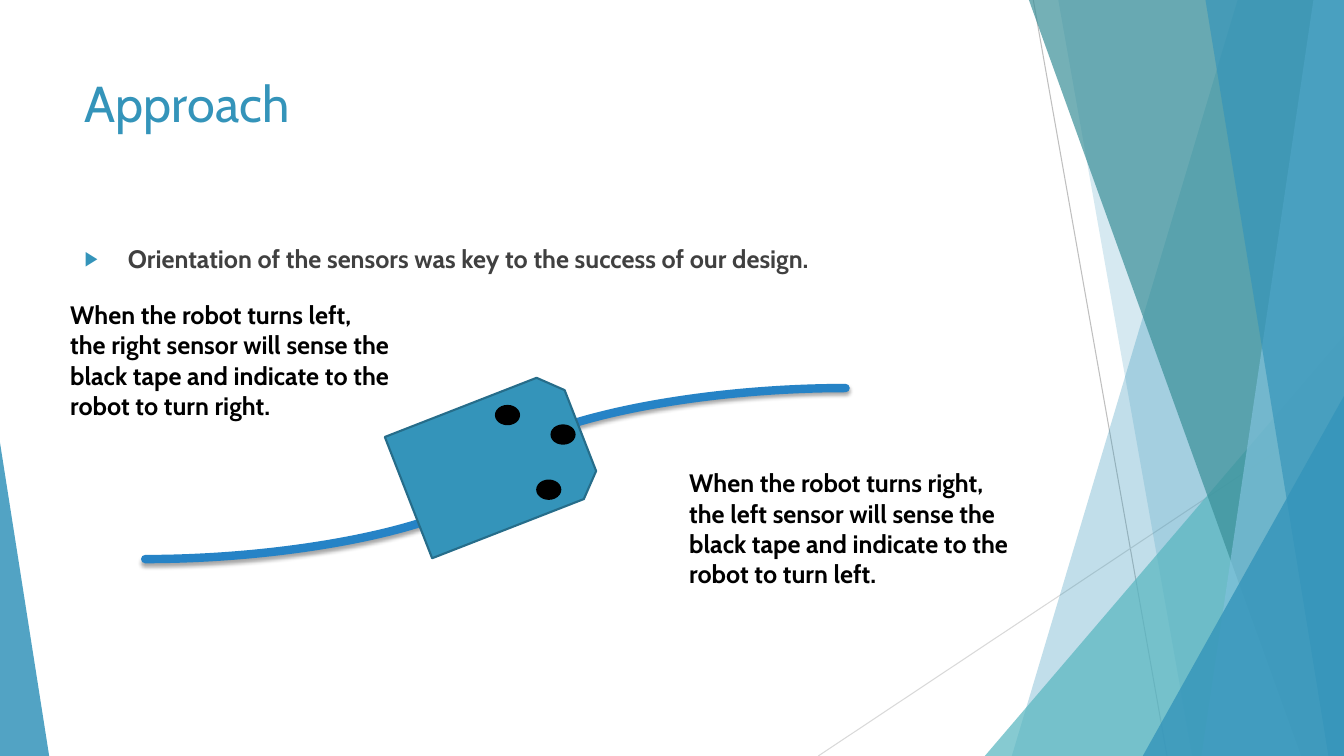
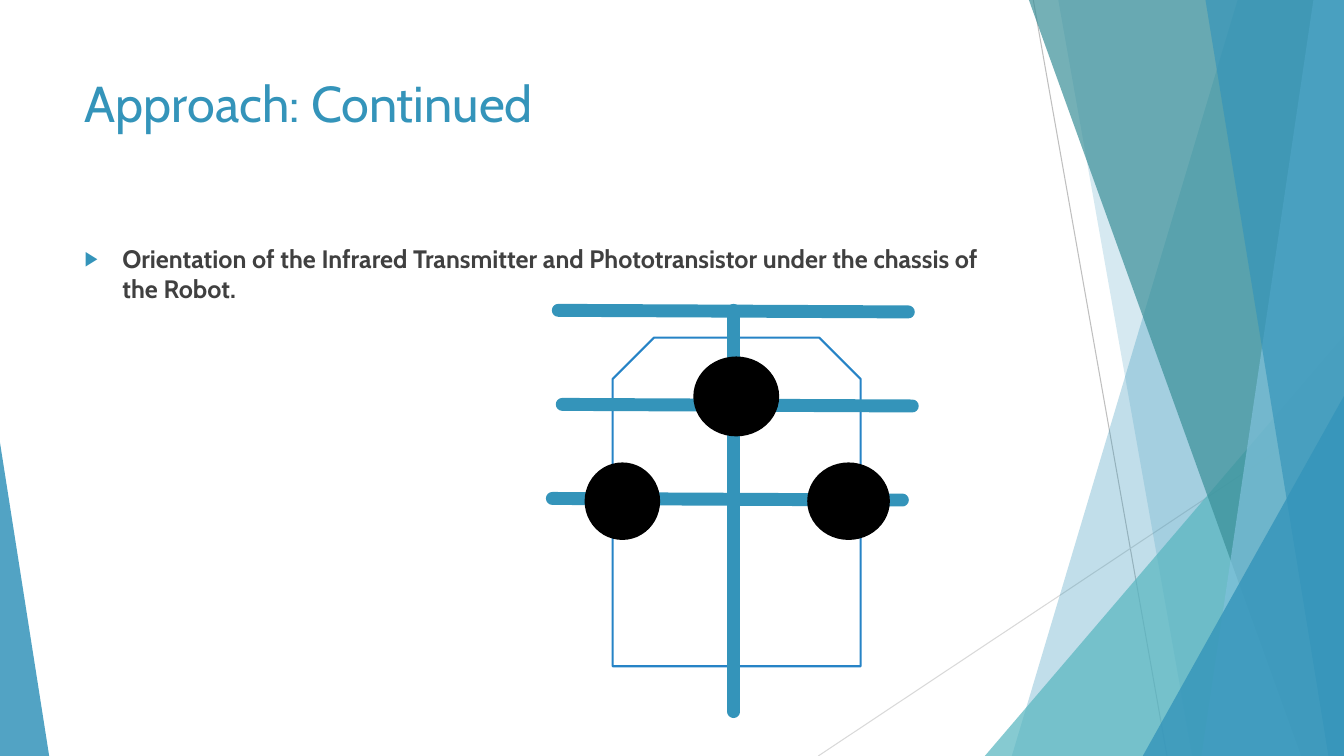
import pptx
import pptx.util
import pptx.dml.color
import pptx.enum.shapes
import pptx.enum.text
import pptx.oxml
import pptx.oxml.ns

Cm, Pt = pptx.util.Cm, pptx.util.Pt
qn = pptx.oxml.ns.qn
KIND = pptx.enum.shapes.MSO_SHAPE
LINK = pptx.enum.shapes.MSO_CONNECTOR
TEXT = pptx.enum.text

WIDE, HIGH = 33.87, 19.05
FONT = "Cabin"
HUES = {
    "blue": "3494BA", "teal": "58B6C0", "deep": "3A8F98", "pale": "7FC1DB",
    "track": "2683C6", "edge": "266D8A", "body": "404040", "black": "000000",
    "white": "FFFFFF", "grey": "BFBFBF", "light": "D9D9D9",
}
# Top x, bottom-left x, top y, colour, opacity; each reaches the right edge
FACETS = [
    (31.19, 25.5, 0, "blue", 30),
    (26.67, 30.05, 0, "blue", 20),
    (WIDE, 24.82, 8.46, "teal", 72),
    (25.93, 32.79, 0, "deep", 70),
    (33.1, 30.28, 0, "pale", 70),
    (30.38, 33.48, 0, "blue", 65),
    (WIDE, 28.8, 9.98, "blue", 80),
]


def rgb(hue):
    return pptx.dml.color.RGBColor.from_string(HUES[hue])


def node(tag, inner="", **attrs):
    pairs = "".join(f' {key}="{val}"' for key, val in attrs.items())
    space = pptx.oxml.ns.nsdecls("a")
    return pptx.oxml.parse_xml(f"<a:{tag} {space}{pairs}>{inner}</a:{tag}>")


def paint(shape, fill, edge=None, alpha=100):
    shape.shadow.inherit = False
    shape.fill.solid()
    shape.fill.fore_color.rgb = rgb(fill)
    if alpha < 100:
        tint = shape.element.spPr.find(".//" + qn("a:srgbClr"))
        tint.append(node("alpha", val=alpha * 1000))
    if edge:
        shape.line.color.rgb = rgb(edge)
        shape.line.width = Pt(1.5)
    else:
        shape.line.fill.background()


def put(slide, kind, x, y, w, h):
    return slide.shapes.add_shape(kind, Cm(x), Cm(y), Cm(w), Cm(h))


def link(slide, start, end, hue, width, kind=LINK.STRAIGHT, cap="flat", shade=""):
    line = slide.shapes.add_connector(kind, *map(Cm, start + end))
    line.line.color.rgb = rgb(hue)
    line.line.width = Pt(width)
    props = line.element.spPr
    props.find(qn("a:ln")).set("cap", cap)
    props.append(node("effectLst", shade))
    return line


def wedge(slide, x, y, w, h, apex):
    shape = put(slide, KIND.ISOSCELES_TRIANGLE, x, y, w, h)
    shape.adjustments[0] = apex
    return shape


def pane(slide, top, base):
    form = slide.shapes.build_freeform(Cm(top), 0)
    points = [(WIDE, 0), (WIDE, HIGH), (base, HIGH)]
    form.add_line_segments([(Cm(x), Cm(y)) for x, y in points])
    return form.convert_to_shape()


def decor(slide, layout):
    """Draw the facets and move them to the layout, for all slides."""
    parts = [
        link(slide, (26.04, 0), (29.41, HIGH), "grey", 0.75),
        link(slide, (WIDE, 10.24), (20.62, HIGH), "light", 0.75),
    ]
    for top, base, y, hue, alpha in FACETS:
        if y:
            part = wedge(slide, base, y, WIDE - base, HIGH - y, 1)
        else:
            part = pane(slide, top, base)
        paint(part, hue, alpha=alpha)
        parts.append(part)
    left = wedge(slide, 0, 11.15, 1.24, HIGH - 11.15, 0)
    paint(left, "blue", alpha=85)
    for part in parts + [left]:
        layout.shapes.element.append(part.element)


def style(para, size, hue, bold):
    para.alignment = TEXT.PP_ALIGN.LEFT
    para.space_before = Pt(0)
    font = para.font
    font.name, font.size, font.bold = FONT, Pt(size), bold
    font.color.rgb = rgb(hue)


def hold(shape, text, x, y, w, h):
    shape.left, shape.top, shape.width, shape.height = map(Cm, (x, y, w, h))
    frame = shape.text_frame
    frame.text = text
    frame.word_wrap = True
    frame.auto_size = TEXT.MSO_AUTO_SIZE.NONE
    frame.vertical_anchor = TEXT.MSO_ANCHOR.TOP
    return frame.paragraphs


def head(slide, title, point, gap):
    """Fill the title and the bulleted body; gap is the bullet indent."""
    para = hold(slide.shapes.title, title, 1.88, 1.7, 23.88, 3.66)[0]
    style(para, 36, "blue", False)
    body = slide.placeholders[1]
    para = hold(body, point, 1.88, 6, 23.88, 10.77)[0]
    props = body.element.find(".//" + qn("a:p")).get_or_add_pPr()
    props.set("marL", str(Cm(gap)))
    props.set("indent", str(-Cm(gap)))
    tint = f'<a:srgbClr val="{HUES["blue"]}"/>'
    props.append(node("buClr", tint))
    props.append(node("buSzPct", val=80000))
    props.append(node("buChar", char="▶"))
    style(para, 18, "body", True)


def note(slide, x, y, lines):
    box = slide.shapes.add_textbox(0, 0, 0, 0)
    for para in hold(box, "\n".join(lines), x, y, 9.6, 3.4):
        style(para, 18, "black", True)


def dots(slide, x, y, spots):
    for dx, dy, w, h in spots:
        dot = put(slide, KIND.FLOWCHART_CONNECTOR, x + dx, y + dy, w, h)
        paint(dot, "black", "black")


def turn(slide, x, y):
    """Robot following the curved tape."""
    dark = '<a:srgbClr val="000000"><a:alpha val="35000"/></a:srgbClr>'
    shade = (f'<a:outerShdw blurRad="{Pt(3)}" dist="{Pt(2)}" dir="5400000" '
             f'rotWithShape="0">{dark}</a:outerShdw>')
    link(slide, (x, y + 4.72), (x + 17.65, y + 0.41), "track", 6,
         LINK.CURVE, "rnd", shade)
    robot = put(slide, KIND.SNIP_2_SAME_RECTANGLE, x + 7.16, y, 3.28, 4.65)
    robot.rotation = 68.7
    paint(robot, "blue", "edge")
    spots = [(10.24, 1.35), (9.88, 2.74), (8.84, 0.86)]
    dots(slide, x, y, [spot + (0.58, 0.46) for spot in spots])


def under(slide, x, y):
    """Chassis from below, with guide bars and sensors."""
    robot = put(slide, KIND.SNIP_2_SAME_RECTANGLE, x + 1.52, y + 0.69, 6.25, 8.28)
    paint(robot, "white", "track")
    for row, shift in enumerate((0.15, 0.25, 0)):
        left, top = x + shift, y + row * 2.37
        link(slide, (left, top), (left + 8.82, top + 0.04), "blue", 9.25, cap="rnd")
    link(slide, (x + 4.57, y), (x + 4.57, y + 10.11), "blue", 9.25, cap="rnd")
    dots(slide, x, y, [(3.58, 1.19, 2.11, 1.96), (6.45, 3.86, 2.03, 1.9),
                       (0.84, 3.86, 1.85, 1.9)])


def main():
    deck = pptx.Presentation()
    deck.slide_width, deck.slide_height = Cm(WIDE), Cm(HIGH)
    layout = deck.slide_layouts[1]

    # Turning
    slide = deck.slides.add_slide(layout)
    decor(slide, layout)
    head(slide, "Approach",
         "Orientation of the sensors was key to the success of our design.", 1.09)
    turn(slide, 3.66, 9.37)
    for x, y, way, side in ((17.12, 11.66, "right", "left"),
                            (1.52, 7.42, "left", "right")):
        note(slide, x, y, [f"When the robot turns {way},",
                           f"the {side} sensor will sense the",
                           "black tape and indicate to the",
                           f"robot to turn {side}."])

    # Underside
    slide = deck.slides.add_slide(layout)
    head(slide, "Approach: Continued",
         "Orientation of the Infrared Transmitter and Phototransistor "
         "under the chassis of the Robot.", 0.95)
    under(slide, 13.92, 7.82)

    deck.save("out.pptx")


if __name__ == "__main__":
    main()
